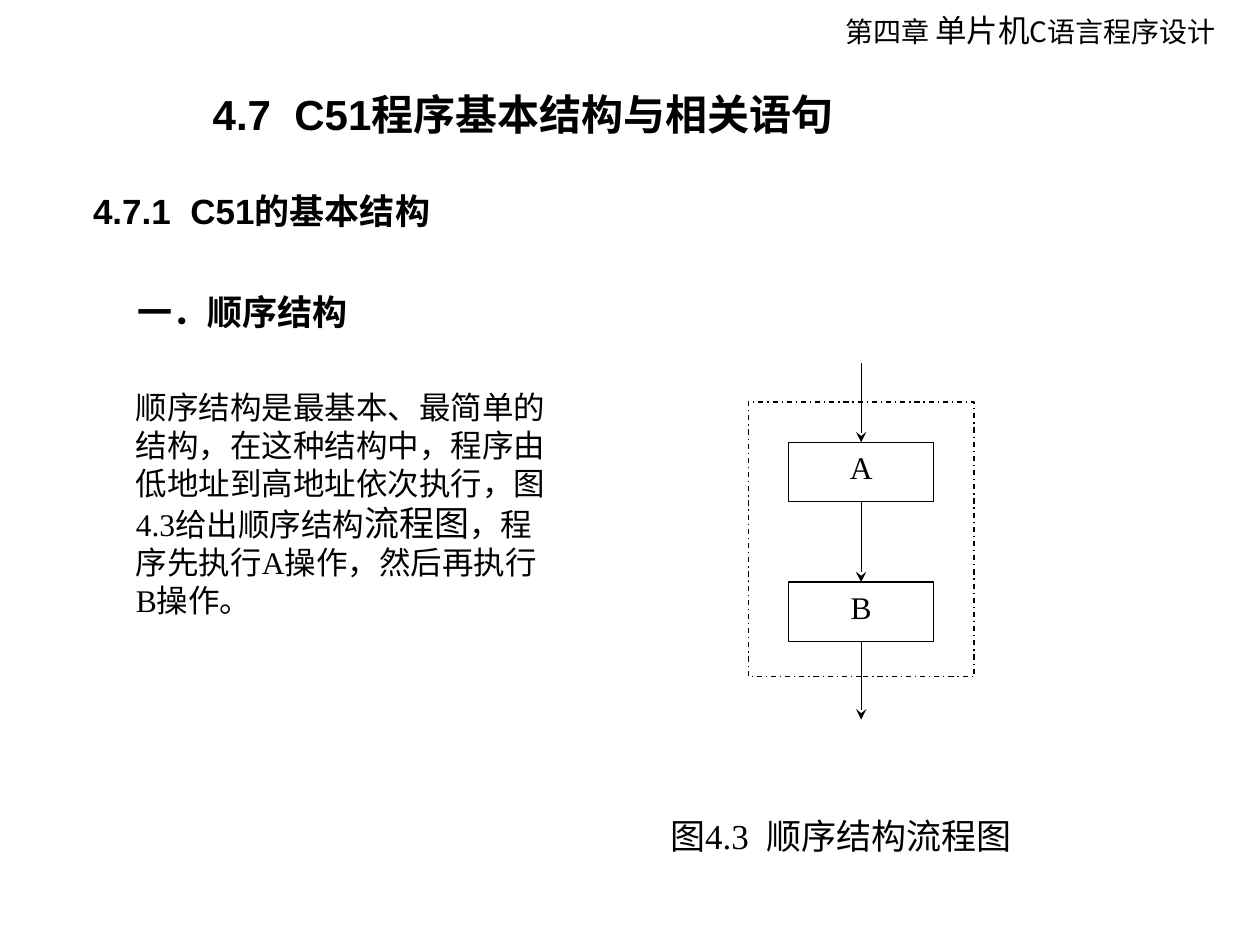
from lxml.etree import SubElement
from pptx import Presentation
from pptx.dml.color import RGBColor
from pptx.enum.dml import MSO_LINE
from pptx.enum.shapes import MSO_CONNECTOR, MSO_SHAPE
from pptx.enum.text import MSO_ANCHOR, PP_ALIGN
from pptx.oxml.ns import qn
from pptx.util import Inches, Pt

BLACK, WHITE = "000000", "FFFFFF"
SANS, ARIAL, TIMES = "Noto Sans CJK JP", "Arial", "Times New Roman"
TOP, MIDDLE, BOTTOM = MSO_ANCHOR.TOP, MSO_ANCHOR.MIDDLE, MSO_ANCHOR.BOTTOM
LEFT, CENTER = PP_ALIGN.LEFT, PP_ALIGN.CENTER

# box (left, top, width, height), runs (text, size), font, bold, wrap, anchor, alignment
TEXTS = [
    ((6.61, 0.04, 3.25, 0.4), [("第四章 ", 16), ("单片机", 18), ("C语言程序设计", 16)],
     SANS, False, False, MIDDLE, LEFT),
    ((1.59, 0.44, 5.2, 0.93), [("4.7  C51程序基本结构与相关语句", 24)],
     ARIAL, True, False, MIDDLE, LEFT),
    ((0.64, 1.31, 2.94, 0.72), [("4.7.1  C51的基本结构", 20)],
     ARIAL, True, False, MIDDLE, LEFT),
    ((0.99, 2.25, 1.87, 0.44), [("一．顺序结构", 20)],
     ARIAL, True, False, MIDDLE, LEFT),
    ((0.98, 3.03, 3.54, 2.24),
     [("顺序结构是最基本、最简单的结构，在这种结构中，程序由低地址到高地址依次执行，图4.3给出顺序结构", 18),
      ("流程图", 20), ("，程序先执行A操作，然后再执行B操作。", 18)],
     TIMES, False, True, TOP, LEFT),
    ((5.19, 6.08, 2.97, 0.77), [("图4.3  顺序结构流程图", 20)],
     TIMES, False, False, BOTTOM, CENTER),
]

STEPS = ["A", "B"]
FRAME = (5.94, 3.19, 1.79, 2.18)
STEP_WIDTH, STEP_HEIGHT = 1.15, 0.47
FIRST_STEP_TOP, STEP_PITCH = 3.51, 1.11
FLOW_START, FLOW_END = 2.88, 5.71
CENTER_X = FRAME[0] + FRAME[2] / 2


def color(value):
    return RGBColor.from_string(value)


def inches(*values):
    return [Inches(value) for value in values]


def write_runs(paragraph, runs, font_name, bold=False):
    for text, size in runs:
        run = paragraph.add_run()
        run.text = text
        font = run.font
        font.name, font.size, font.bold = font_name, Pt(size), bold
        font.color.rgb = color(BLACK)
        SubElement(run._r.get_or_add_rPr(), qn("a:ea")).set("typeface", SANS)


def add_text(slide, box, runs, font_name, bold, wrap, anchor, alignment):
    text_frame = slide.shapes.add_textbox(*inches(*box)).text_frame
    text_frame.word_wrap = wrap
    text_frame.vertical_anchor = anchor
    paragraph = text_frame.paragraphs[0]
    paragraph.alignment = alignment
    write_runs(paragraph, runs, font_name, bold)


def add_outlined(slide, preset, box):
    shape = slide.shapes.add_shape(preset, *inches(*box))
    shape.shadow.inherit = False
    shape.line.color.rgb = color(BLACK)
    shape.line.width = Pt(0.75)
    return shape


def add_step(slide, index, name):
    box = (CENTER_X - STEP_WIDTH / 2, FIRST_STEP_TOP + index * STEP_PITCH,
           STEP_WIDTH, STEP_HEIGHT)
    shape = add_outlined(slide, MSO_SHAPE.FLOWCHART_PROCESS, box)
    shape.fill.solid()
    shape.fill.fore_color.rgb = color(WHITE)
    text_frame = shape.text_frame
    text_frame.vertical_anchor = TOP
    paragraph = text_frame.paragraphs[0]
    paragraph.alignment = CENTER
    write_runs(paragraph, [(name, 18)], TIMES)
    return shape


def add_arrow(slide, source, target):
    """Arrow down the centre line; a missing end lies at the flow's start or end."""
    connector = slide.shapes.add_connector(
        MSO_CONNECTOR.STRAIGHT, *inches(CENTER_X, FLOW_START, CENTER_X, FLOW_END))
    if source is not None:
        connector.begin_connect(source, 2)
    if target is not None:
        connector.end_connect(target, 0)
    connector.line.color.rgb = color(BLACK)
    connector.line.width = Pt(0.75)
    SubElement(connector.line._get_or_add_ln(), qn("a:tailEnd")).set("type", "stealth")
    SubElement(connector._element.spPr, qn("a:effectLst"))


def main():
    presentation = Presentation()
    presentation.slide_width, presentation.slide_height = inches(10, 7.5)
    slide = presentation.slides.add_slide(presentation.slide_layouts[6])

    for text in TEXTS:
        add_text(slide, *text)

    steps = [add_step(slide, index, name) for index, name in enumerate(STEPS)]
    for source, target in zip([None, *steps], [*steps, None]):
        add_arrow(slide, source, target)

    frame = add_outlined(slide, MSO_SHAPE.RECTANGLE, FRAME)
    frame.fill.background()
    frame.line.dash_style = MSO_LINE.DASH_DOT

    presentation.save("out.pptx")


if __name__ == "__main__":
    main()
